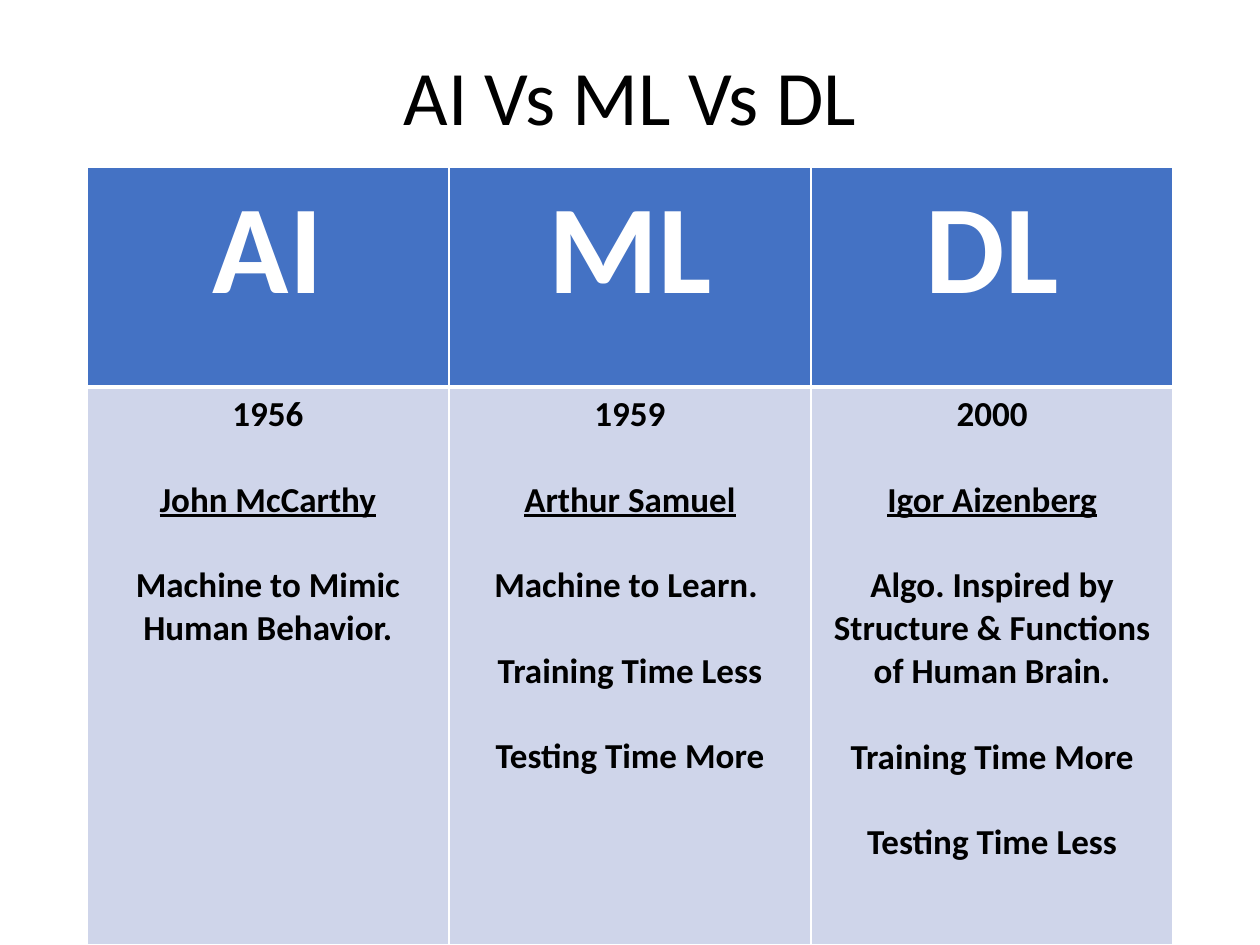
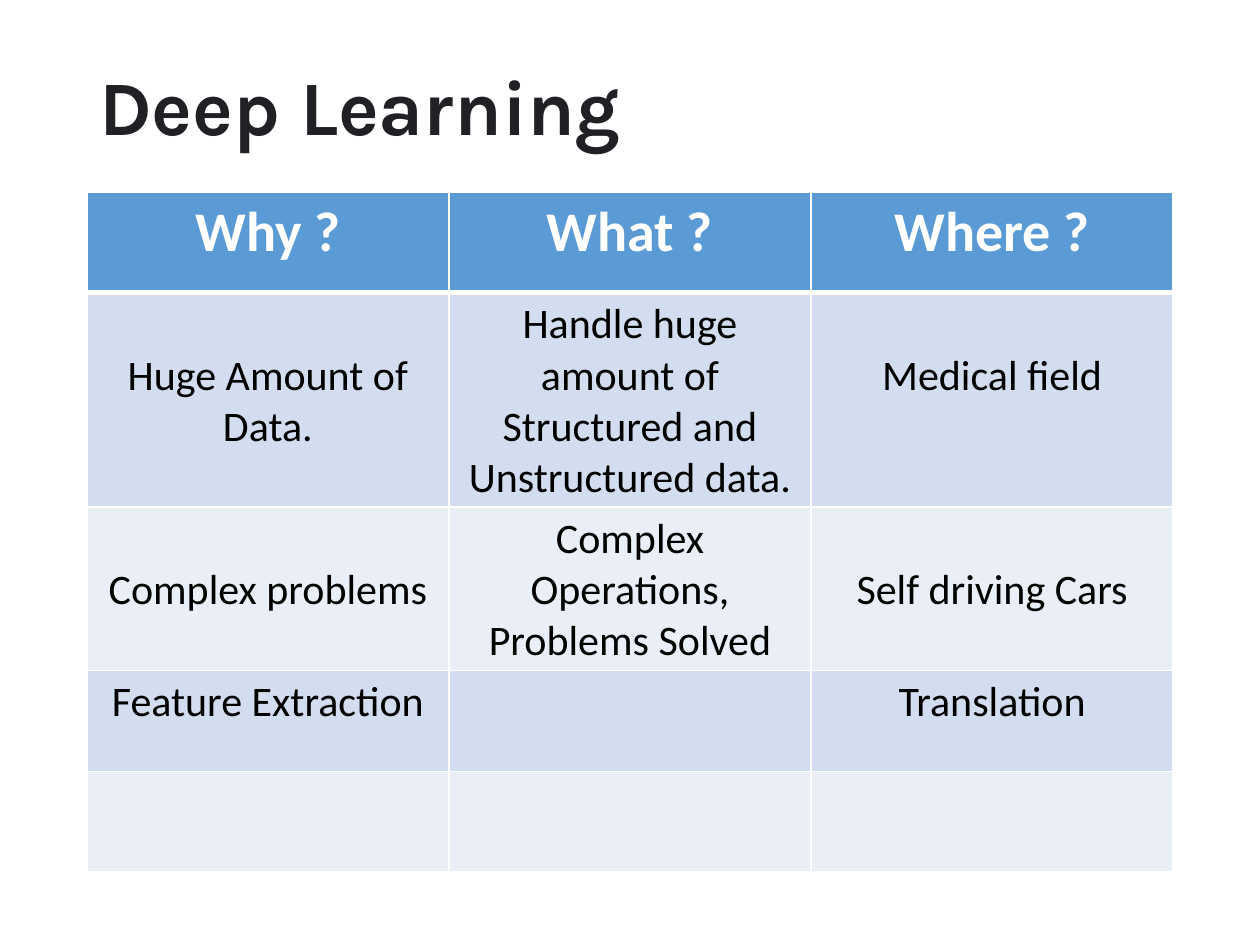
from dataclasses import dataclass
from lxml.etree import SubElement
from pptx import Presentation
from pptx.dml.color import RGBColor as Rgb
from pptx.enum.text import MSO_ANCHOR as Anchor, PP_ALIGN as Align
from pptx.oxml.ns import qn
from pptx.util import Cm, Pt


@dataclass(frozen=True)
class Theme:
    white: str = "FFFFFF"
    black: str = "000000"
    charcoal: str = "202124"
    font: str = "Calibri"
    accent_font: str = "Karla"
    title_size: int = 44
    left: float = 1.75
    width: float = 21.9
    title_top: float = 1.02
    thin: int = 1
    thick: int = 3


theme = Theme()


def write(para, text, size, color, font=theme.font, bold=False, underline=False):
    span = para.add_run()
    span.text = text
    span.font.name = font
    span.font.size = Pt(size)
    span.font.bold = bold
    span.font.underline = underline
    span.font.color.rgb = Rgb.from_string(color)


def add_borders(cell, row_index):
    """Draw white cell borders, with a thick rule under the header row."""
    properties = cell._tc.get_or_add_tcPr()
    top = theme.thick if row_index == 1 else theme.thin
    bottom = theme.thick if row_index == 0 else theme.thin
    for side, width in (("L", theme.thin), ("R", theme.thin), ("T", top), ("B", bottom)):
        line = SubElement(properties, qn(f"a:ln{side}"), w=str(Pt(width)))
        fill = SubElement(line, qn("a:solidFill"))
        SubElement(fill, qn("a:srgbClr"), val=theme.white)


# Each cell is a list of paragraphs; names of people are underlined.
people = {"John McCarthy", "Arthur Samuel", "Igor Aizenberg"}
comparison_rows = [
    [["AI"], ["ML"], ["DL"]],
    [
        ["1956", "John McCarthy", "Machine to Mimic Human Behavior."],
        ["1959", "Arthur Samuel", "Machine to Learn. ",
         "Training Time Less", "Testing Time More"],
        ["2000", "Igor Aizenberg",
         "Algo. Inspired by Structure & Functions of Human Brain.",
         "Training Time More", "Testing Time Less"],
    ],
]
deep_learning_rows = [
    [["Why ?"], ["What ?"], ["Where ?"]],
    [["Huge Amount of Data."],
     ["Handle huge amount of Structured and Unstructured data."],
     ["Medical field"]],
    [["Complex problems"], ["Complex Operations, Problems Solved"],
     ["Self driving Cars"]],
    [["Feature Extraction"], [], ["Translation"]],
    [[], [], []],
]

pages = [
    dict(title="AI Vs ML Vs DL", title_font=theme.font, title_color=theme.black,
         title_bold=False, title_align=Align.CENTER, title_height=2.03,
         table_top=3.38, row_heights=[4.42, 11.25], rows=comparison_rows,
         header_fill="4472C4", band_fills=["CFD5EA"],
         header_size=72, body_size=20, body_bold=True, lowered_cells=set()),
    dict(title="Deep Learning", title_font=theme.accent_font,
         title_color=theme.charcoal, title_bold=True, title_align=Align.LEFT,
         title_height=2.41, table_top=3.87,
         row_heights=[2.03, 4.3, 3.28, 2.03, 2.03], rows=deep_learning_rows,
         header_fill="5B9BD5", band_fills=["D2DEEF", "EAEFF7"],
         header_size=32, body_size=24, body_bold=False,
         lowered_cells={(1, 0), (1, 2), (2, 0), (2, 2)}),
]

deck = Presentation()
deck.slide_width, deck.slide_height = Cm(25.4), Cm(19.05)

for content in pages:
    page = deck.slides.add_slide(deck.slide_layouts[6])

    box = page.shapes.add_textbox(Cm(theme.left), Cm(theme.title_top),
                                  Cm(theme.width), Cm(content["title_height"]))
    box.text_frame.word_wrap = True
    box.text_frame.vertical_anchor = Anchor.MIDDLE
    para = box.text_frame.paragraphs[0]
    para.alignment = content["title_align"]
    para.line_spacing = 0.9
    write(para, content["title"], theme.title_size, content["title_color"],
          content["title_font"], content["title_bold"])

    rows, heights = content["rows"], content["row_heights"]
    column_count = len(rows[0])
    table = page.shapes.add_table(
        len(rows), column_count, Cm(theme.left), Cm(content["table_top"]),
        Cm(theme.width), Cm(sum(heights))).table
    for column in table.columns:
        column.width = Cm(theme.width / column_count)

    for row_index, (row, height) in enumerate(zip(rows, heights)):
        table.rows[row_index].height = Cm(height)
        is_header = row_index == 0
        bands = content["band_fills"]
        fill = content["header_fill"] if is_header else bands[(row_index - 1) % len(bands)]
        size = content["header_size"] if is_header else content["body_size"]
        color = theme.white if is_header else theme.black

        for column_index, lines in enumerate(row):
            cell = table.cell(row_index, column_index)
            add_borders(cell, row_index)
            cell.fill.solid()
            cell.fill.fore_color.rgb = Rgb.from_string(fill)
            if (row_index, column_index) in content["lowered_cells"]:
                cell.margin_top = Cm(1.16)
            for line_index, text in enumerate(lines):
                frame = cell.text_frame
                para = frame.add_paragraph() if line_index else frame.paragraphs[0]
                para.alignment = Align.CENTER
                if line_index:
                    para.space_before = Pt(size * 1.22)
                write(para, text, size, color, bold=is_header or content["body_bold"],
                      underline=text in people)

deck.save("out.pptx")
